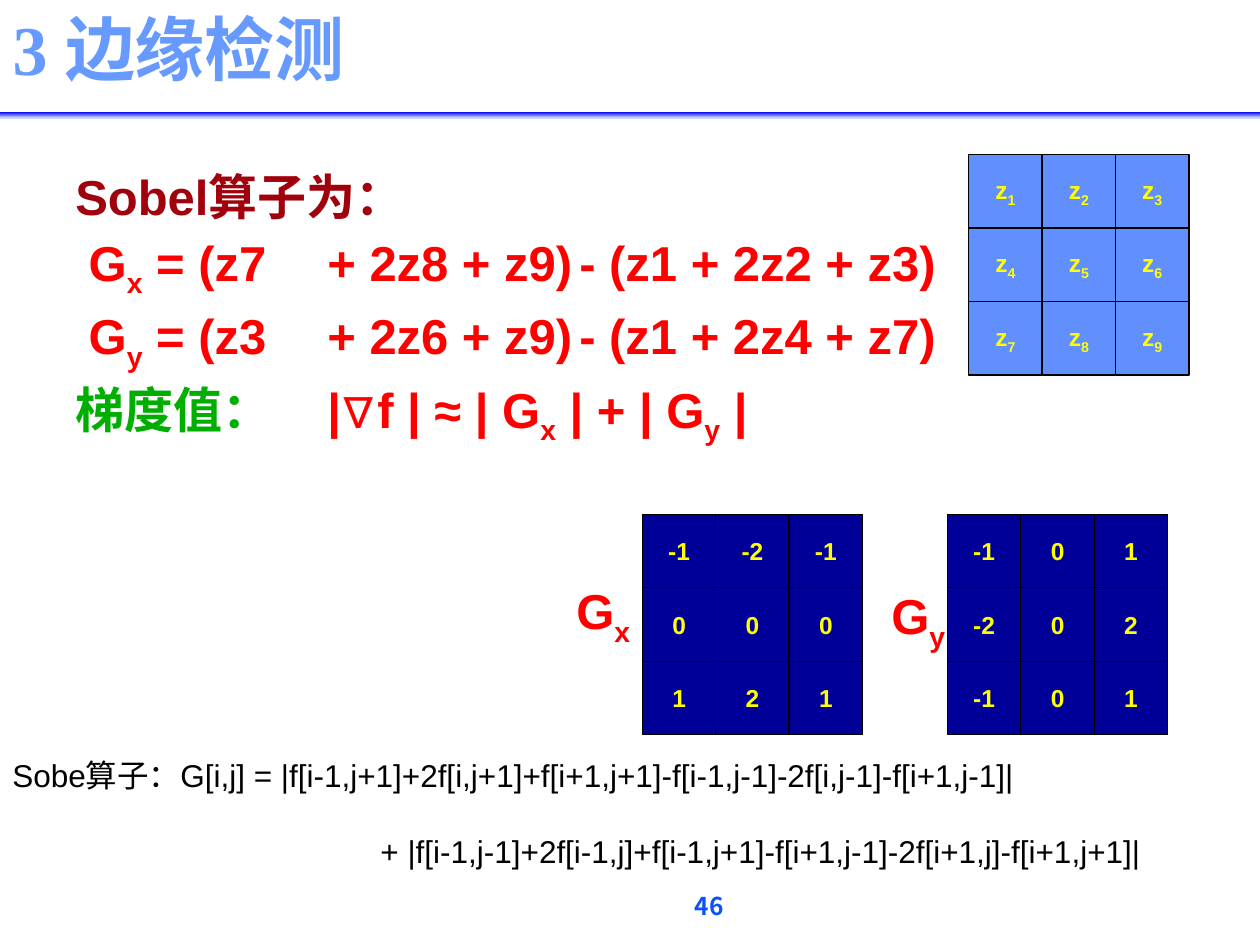
from itertools import product

from lxml.etree import SubElement
from pptx import Presentation
from pptx.dml.color import RGBColor
from pptx.enum.shapes import MSO_SHAPE as Shape
from pptx.enum.text import MSO_ANCHOR as Anchor, PP_ALIGN as Align
from pptx.oxml.ns import qn
from pptx.util import Cm, Pt

COLOURS = {
    "title": "679AFF", "rule_top": "0000FF", "rule_bottom": "CCD6FF",
    "heading": "A1010C", "formula": "FF0000", "gradient": "00AE00",
    "pixel": "618FFD", "mask": "000099", "cell_text": "FFFF00",
    "black": "000000", "page_number": "0B52FC",
}
CJK = "Noto Sans CJK SC"
CELL = 1.48
PIXELS = [["z_1", "z_2", "z_3"], ["z_4", "z_5", "z_6"], ["z_7", "z_8", "z_9"]]
MASK_X = [["-1", "-2", "-1"], ["0", "0", "0"], ["1", "2", "1"]]
MASK_Y = [["-1", "0", "1"], ["-2", "0", "2"], ["-1", "0", "1"]]
FORMULAS = [
    (0, [("Sobel算子为：", "heading")]),
    (0.27, [("G_x = (z7\t+ 2z8 + z9)\t- (z1 + 2z2 + z3)", "formula")]),
    (0.27, [("G_y = (z3\t+ 2z6 + z9)\t- (z1 + 2z4 + z7)", "formula")]),
    (0, [("梯度值：\t", "gradient"), ("|∇f | ≈ | G_x | + | G_y |", "formula")]),
]


def rgb(name):
    """Look up a colour by its role."""
    return RGBColor.from_string(COLOURS[name])


def add_span(para, text, size, colour, bold=True, font="Arial", subscript=False):
    """Add one formatted run to a paragraph."""
    span = para.add_run()
    span.text = text
    span.font.size = Pt(size)
    span.font.bold = bold
    span.font.color.rgb = rgb(colour)
    span.font.name = font
    properties = span.font._element
    SubElement(properties, qn("a:ea")).set("typeface", CJK)
    if subscript:
        properties.set("baseline", "-25000")


def write(para, text, size, colour, bold=True):
    """Write text in which an underscore makes the next letter a subscript."""
    first, *rest = text.split("_")
    if first:
        add_span(para, first, size, colour, bold)
    for piece in rest:
        add_span(para, piece[0], size, colour, bold, subscript=True)
        if piece[1:]:
            add_span(para, piece[1:], size, colour, bold)


def add_box(page, left, top, width, height, anchor=Anchor.TOP, wrap=True):
    """Add an empty text box and return its text frame."""
    box = page.shapes.add_textbox(Cm(left), Cm(top), Cm(width), Cm(height))
    frame = box.text_frame
    frame.word_wrap = wrap
    frame.vertical_anchor = anchor
    return frame


def add_rectangle(page, left, top, width, height):
    """Add a rectangle without a shadow."""
    box = page.shapes.add_shape(
        Shape.RECTANGLE, Cm(left), Cm(top), Cm(width), Cm(height))
    box.shadow.inherit = False
    return box


def add_grid(page, left, top, rows, fill):
    """Draw a three by three grid of square cells."""
    for row, column in product(range(3), repeat=2):
        cell = add_rectangle(
            page, left + column * CELL, top + row * CELL, CELL, CELL)
        cell.fill.solid()
        cell.fill.fore_color.rgb = rgb(fill)
        cell.line.color.rgb = rgb("black")
        cell.line.width = Pt(0.75)
        frame = cell.text_frame
        frame.word_wrap = False
        frame.vertical_anchor = Anchor.MIDDLE
        para = frame.paragraphs[0]
        para.alignment = Align.CENTER
        write(para, rows[row][column], 14, "cell_text")


def add_mask_label(page, left, top, text):
    """Name a mask at its left side."""
    frame = add_box(page, left, top, 1.62, 1.45, Anchor.MIDDLE, wrap=False)
    para = frame.paragraphs[0]
    para.alignment = Align.CENTER
    write(para, text, 28, "formula")


def add_title(page):
    """Place and format the title with the rule below it."""
    title = page.shapes.title
    title.left, title.top, title.width, title.height = (
        Cm(0), Cm(0.18), Cm(25.4), Cm(1.78))
    title.text_frame.vertical_anchor = Anchor.BOTTOM
    para = title.text_frame.paragraphs[0]
    para.alignment = Align.LEFT
    para.line_spacing = 0.9
    add_span(para, "3 ", 40, "title", font="Times New Roman")
    add_span(para, "边缘检测", 40, "title", font=CJK)
    rule = add_rectangle(page, 0, 2.26, 25.4, 0.13)
    rule.line.fill.background()
    rule.fill.gradient()
    rule.fill.gradient_angle = 270
    stops = rule.fill.gradient_stops
    for stop, position, colour in zip(stops, (0, 0.89), ("rule_top", "rule_bottom")):
        stop.position = position
        stop.color.rgb = rgb(colour)


def add_formulas(page):
    """Write the operator formulas, aligned by tab stops."""
    frame = add_box(page, 1.27, 3.12, 21.23, 5.49)
    for number, (indent, parts) in enumerate(FORMULAS):
        para = frame.add_paragraph() if number else frame.paragraphs[0]
        para.line_spacing = 1.1
        properties = para._p.get_or_add_pPr()
        properties.set("indent", str(Cm(indent)))
        tabs = SubElement(properties, qn("a:tabLst"))
        for position in (4.39, 9.88):
            SubElement(tabs, qn("a:tab"), pos=str(Cm(position)), algn="l")
        for text, colour in parts:
            write(para, text, 28, colour)


def add_expansion(page):
    """Write the operator in terms of the pixel values."""
    frame = add_box(page, 0, 15.11, 25.4, 2.57, Anchor.MIDDLE)
    first = frame.paragraphs[0]
    write(first, "Sobe算子：G[i,j] = |f[i-1,j+1]+2f[i,j+1]+f[i+1,j+1]"
          "-f[i-1,j-1]-2f[i,j-1]-f[i+1,j-1]|", 18, "black", bold=False)
    second = frame.add_paragraph()
    second.space_before = Pt(22)
    second._p.get_or_add_pPr().set("marL", str(Cm(7.42)))
    write(second, "+ |f[i-1,j-1]+2f[i-1,j]+f[i-1,j+1]"
          "-f[i+1,j-1]-2f[i+1,j]-f[i+1,j+1]|", 18, "black", bold=False)


def add_page_number(page):
    """Write the page number at the foot."""
    para = add_box(page, 7.87, 17.96, 12.85, 0.76).paragraphs[0]
    para.alignment = Align.CENTER
    para.line_spacing = 0.8
    add_span(para, "46", 14, "page_number", font=CJK)


def main():
    """Build and save the slide."""
    deck = Presentation()
    deck.slide_width, deck.slide_height = Cm(25.4), Cm(19.05)
    page = deck.slides.add_slide(deck.slide_layouts[5])
    add_title(page)
    add_mask_label(page, 11.35, 11.66, "G_x")
    add_grid(page, 12.95, 10.37, MASK_X, "mask")
    add_grid(page, 19.1, 10.37, MASK_Y, "mask")
    add_mask_label(page, 17.7, 11.76, "G_y")
    add_grid(page, 19.53, 3.12, PIXELS, "pixel")
    add_formulas(page)
    add_expansion(page)
    add_page_number(page)
    deck.save("out.pptx")


if __name__ == "__main__":
    main()
